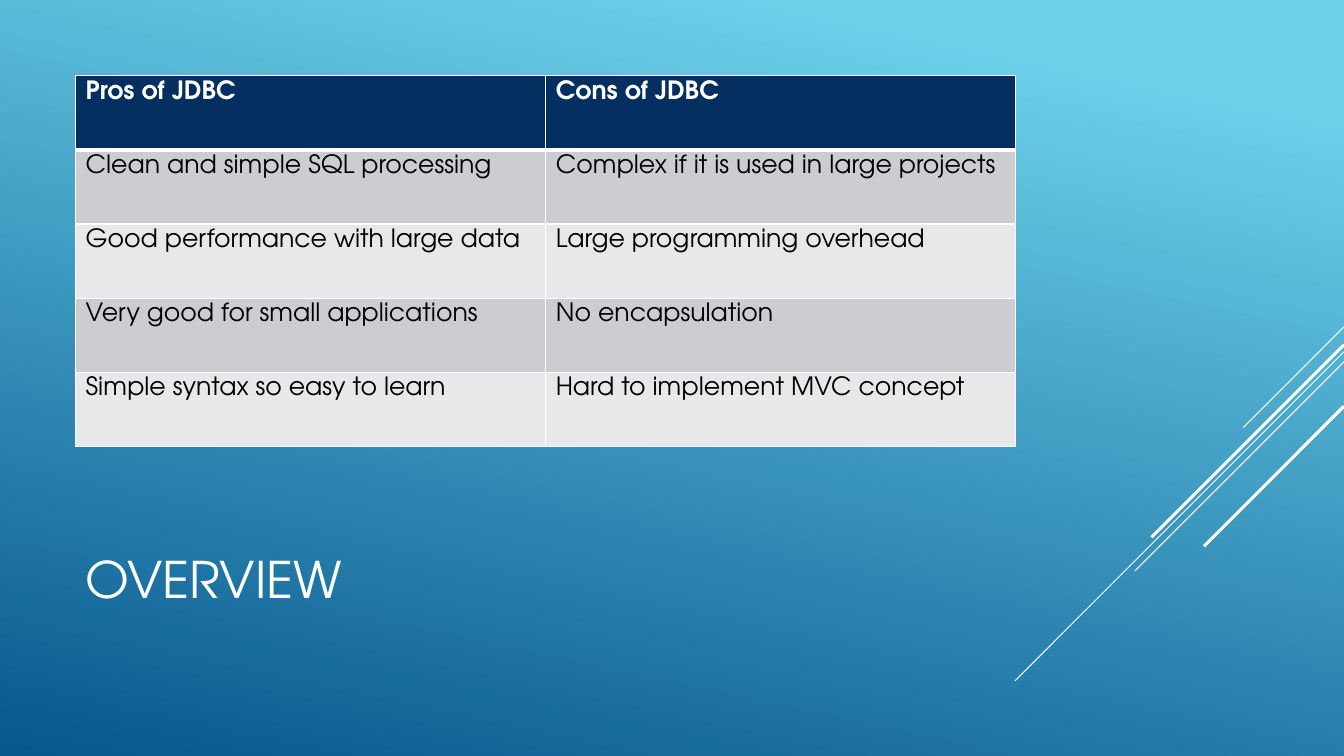
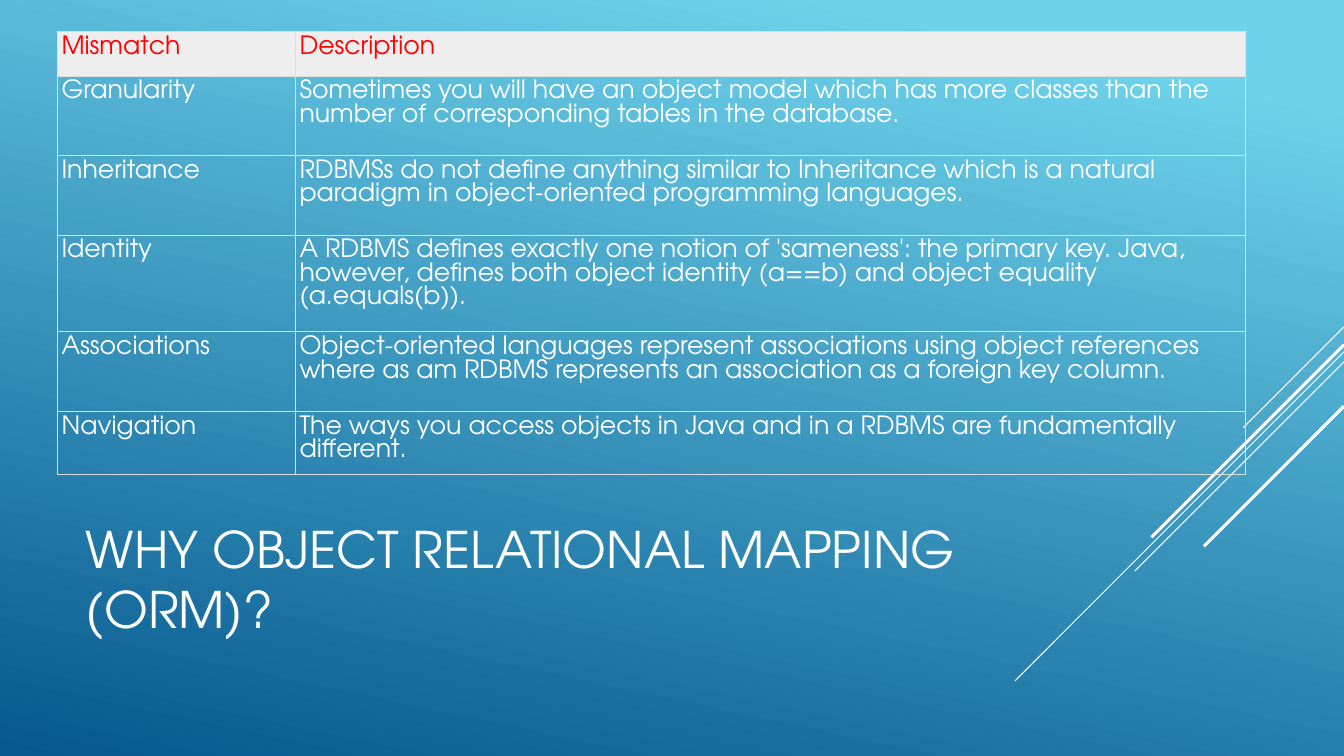
from lxml import etree
from pptx import Presentation
from pptx.dml.color import RGBColor
from pptx.enum import shapes, text
from pptx.oxml.ns import qn
from pptx.util import Pt

FACE = "TeX Gyre Adventor"
WHITE = "FFFFFF"


def color(value):
    return RGBColor.from_string(value)


def format_text(frame, size, ink, bold):
    for paragraph in frame.paragraphs:
        paragraph.alignment = text.PP_ALIGN.LEFT
        paragraph.line_spacing = 1.0
        look = {"name": FACE, "size": Pt(size), "bold": bold}
        for field, value in look.items():
            setattr(paragraph.font, field, value)
        paragraph.font.color.rgb = color(ink)


topics = [
    {
        "title": "OVERVIEW",
        "corner": (54, 54),
        "columns": [335.8, 335.8],
        "heights": [53] * 5,
        "insets": (7.2, 3.6),
        "header": ("052F61", WHITE, True),
        "bands": ["CCCDD2", "E7E8EA"],
        "ink": "000000",
        "border": (WHITE, 1),
        "header_rule": 3,
        "rows": [
            ("Pros of JDBC", "Cons of JDBC"),
            ("Clean and simple SQL processing", "Complex if it is used in large projects"),
            ("Good performance with large data", "Large programming overhead"),
            ("Very good for small applications", "No encapsulation"),
            ("Simple syntax so easy to learn", "Hard to implement MVC concept"),
        ],
    },
    {
        "title": "WHY OBJECT RELATIONAL MAPPING (ORM)?",
        "corner": (41, 22.3),
        "columns": [170, 678.5],
        "heights": [32, 56.8, 56.8, 69.2, 56.8, 44.8],
        "insets": (3, 3),
        "header": ("EEEEEE", "FF0000", False),
        "bands": [None],
        "ink": WHITE,
        "border": ("DDDDDD", 0.75),
        "header_rule": 0.75,
        "rows": [
            ("Mismatch", "Description"),
            ("Granularity", "Sometimes you will have an object model which has more classes than the "
                            "number of corresponding tables in the database."),
            ("Inheritance", "RDBMSs do not define anything similar to Inheritance which is a natural "
                            "paradigm in object-oriented programming languages."),
            ("Identity", "A RDBMS defines exactly one notion of 'sameness': the primary key. Java, "
                         "however, defines both object identity (a==b) and object equality "
                         "(a.equals(b))."),
            ("Associations", "Object-oriented languages represent associations using object references "
                             "where as am RDBMS represents an association as a foreign key column."),
            ("Navigation", "The ways you access objects in Java and in a RDBMS are fundamentally "
                           "different."),
        ],
    },
]

# (top, run, weight)
rays = [(233.5, 72, 0.75), (251.3, 235, 0.75), (258.5, 149.4, 0.75),
        (246.3, 137.5, 2.25), (290.2, 100, 2.25)]

deck = Presentation()
deck.slide_width, deck.slide_height = Pt(960), Pt(540)

backdrop = deck.slide_master.background.fill
backdrop.gradient()
backdrop.gradient_angle = 360 - 102
for stop, (position, shade) in zip(backdrop.gradient_stops, [(0.1, "6ED2EB"), (1, "06588E")]):
    stop.position = position
    stop.color.rgb = color(shade)

for topic in topics:
    slide = deck.slides.add_slide(deck.slide_layouts[5])

    for top, run, weight in rays:
        ray = slide.shapes.add_connector(
            shapes.MSO_CONNECTOR.STRAIGHT, Pt(960), Pt(top), Pt(960 - run), Pt(top + run))
        ray.line.color.rgb = color(WHITE)
        ray.line.width = Pt(weight)
        etree.SubElement(ray._element.spPr, qn("a:effectLst"))

    title = slide.shapes.title
    place = {"left": 54, "top": 353.5, "width": 672, "height": 119}
    for side, value in place.items():
        setattr(title, side, Pt(value))
    title.text_frame.text = topic["title"]
    title.text_frame.auto_size = text.MSO_AUTO_SIZE.NONE
    title.text_frame.vertical_anchor = text.MSO_ANCHOR.MIDDLE
    format_text(title.text_frame, 36, WHITE, False)

    rows, columns, heights = topic["rows"], topic["columns"], topic["heights"]
    left, top = topic["corner"]
    grid = slide.shapes.add_table(
        len(rows), len(columns), Pt(left), Pt(top), Pt(sum(columns)), Pt(sum(heights))).table
    grid.first_row = grid.horz_banding = False
    for column, width in zip(grid.columns, columns):
        column.width = Pt(width)
    for row, height in zip(grid.rows, heights):
        row.height = Pt(height)

    side_inset, top_inset = topic["insets"]
    border_color, border_width = topic["border"]
    for r, entries in enumerate(rows):
        band = topic["bands"][(r - 1) % len(topic["bands"])]
        fill, ink, bold = (band, topic["ink"], False) if r else topic["header"]
        for c, entry in enumerate(entries):
            cell = grid.cell(r, c)
            cell.text = entry
            cell.margin_left = cell.margin_right = Pt(side_inset)
            cell.margin_top = cell.margin_bottom = Pt(top_inset)
            format_text(cell.text_frame, 18, ink, bold)
            if fill:
                cell.fill.solid()
                cell.fill.fore_color.rgb = color(fill)
            else:
                cell.fill.background()

            weights = {"lnL": border_width, "lnR": border_width,
                       "lnT": topic["header_rule"] if r == 1 else border_width,
                       "lnB": topic["header_rule"] if r == 0 else border_width}
            properties = cell._tc.get_or_add_tcPr()
            for index, (edge, weight) in enumerate(weights.items()):
                border = etree.Element(qn("a:" + edge), w=str(int(Pt(weight))))
                paint = etree.SubElement(border, qn("a:solidFill"))
                etree.SubElement(paint, qn("a:srgbClr"), val=border_color)
                properties.insert(index, border)

deck.save("out.pptx")
